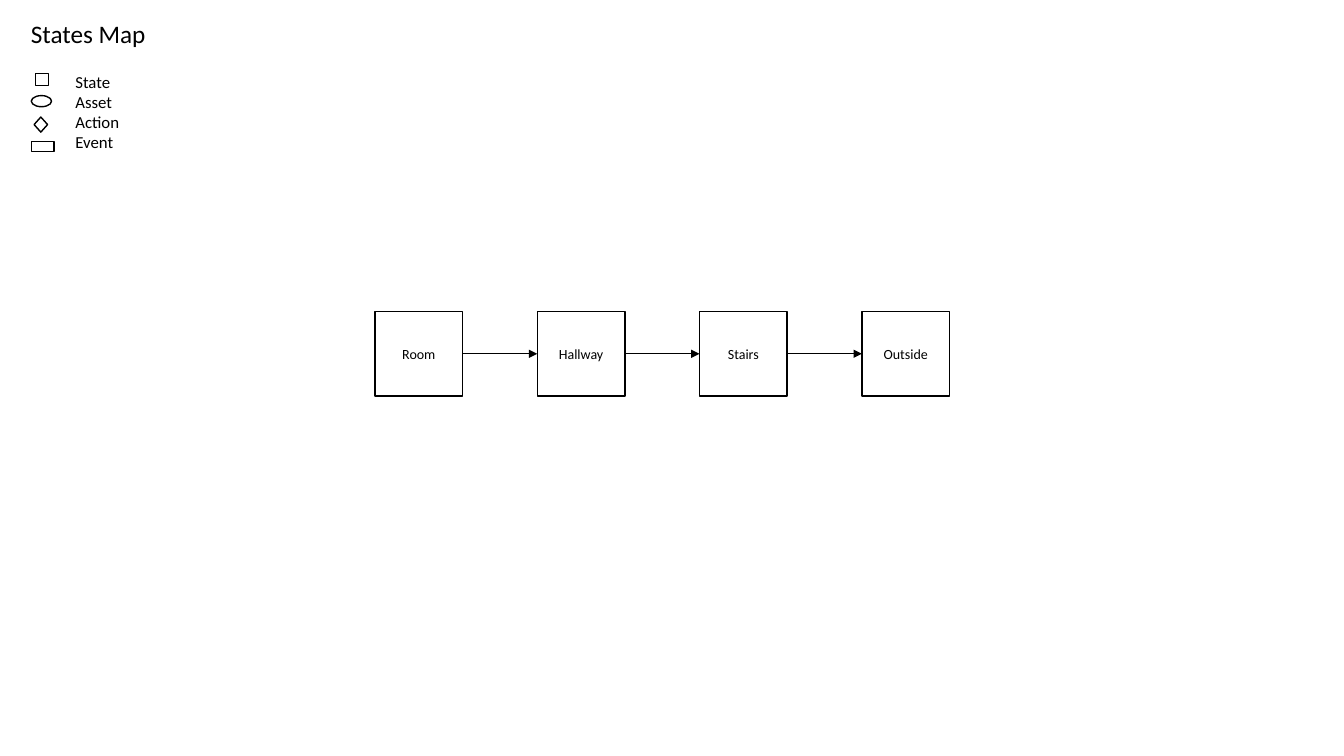
from lxml import etree
from pptx import Presentation
from pptx.dml.color import RGBColor
from pptx.enum.shapes import MSO_CONNECTOR, MSO_SHAPE
from pptx.enum.text import MSO_ANCHOR, MSO_AUTO_SIZE, PP_ALIGN
from pptx.oxml.ns import qn
from pptx.util import Cm, Pt

RECT = MSO_SHAPE.RECTANGLE
OVAL = MSO_SHAPE.OVAL
DIAMOND = MSO_SHAPE.FLOWCHART_DECISION
STRAIGHT = MSO_CONNECTOR.STRAIGHT
MIDDLE = MSO_ANCHOR.MIDDLE
CENTER = PP_ALIGN.CENTER
GROW = MSO_AUTO_SIZE.SHAPE_TO_FIT_TEXT
BLACK = RGBColor(0, 0, 0)
WHITE = RGBColor(255, 255, 255)
FONT = "Calibri"

deck = Presentation()
deck.slide_width = Cm(33.87)
deck.slide_height = Cm(19.05)
slide = deck.slides.add_slide(deck.slide_layouts[6])
shapes = slide.shapes


def add_node(kind, left, top, width, height):
    node = shapes.add_shape(kind, Cm(left), Cm(top), Cm(width), Cm(height))
    node.shadow.inherit = False
    node.fill.solid()
    node.fill.fore_color.rgb = WHITE
    node.line.color.rgb = BLACK
    node.line.width = Pt(1)
    return node


def add_lines(frame, lines, size):
    frame.word_wrap = False
    for i, line in enumerate(lines):
        para = frame.add_paragraph() if i else frame.paragraphs[0]
        run = para.add_run()
        run.text = line
        run.font.name = FONT
        run.font.size = Pt(size)
        run.font.color.rgb = BLACK


# Title and legend labels
for lines, size, left, top, width, height in [
    (["States Map"], 18, 0.53, 0.33, 3.43, 1.02),
    (["State", "Asset", "Action", "Event"], 12, 1.65, 1.68, 1.63, 2.31),
]:
    box = shapes.add_textbox(Cm(left), Cm(top), Cm(width), Cm(height))
    box.text_frame.auto_size = GROW
    add_lines(box.text_frame, lines, size)

# Legend symbols
for kind, left, top, width, height in [
    (RECT, 0.89, 1.85, 0.33, 0.31),
    (OVAL, 0.79, 2.41, 0.51, 0.28),
    (DIAMOND, 0.86, 2.95, 0.34, 0.38),
    (RECT, 0.79, 3.56, 0.57, 0.26),
]:
    add_node(kind, left, top, width, height)

# States
LEFT, TOP, PITCH = 9.45, 7.85, 4.09
states = []
for i, name in enumerate(["Room", "Hallway", "Stairs", "Outside"]):
    state = add_node(RECT, LEFT + i * PITCH, TOP, 2.21, 2.13)
    frame = state.text_frame
    frame.margin_left = frame.margin_right = 0
    frame.margin_top = frame.margin_bottom = 0
    frame.vertical_anchor = MIDDLE
    add_lines(frame, [name], 10)
    frame.paragraphs[0].alignment = CENTER
    states.append(state)

# Arrows from the right side of each state to the left side of the next
for start, end in zip(states, states[1:]):
    arrow = shapes.add_connector(STRAIGHT, 0, 0, 0, 0)
    arrow.begin_connect(start, 3)
    arrow.end_connect(end, 1)
    arrow.line.color.rgb = BLACK
    arrow.line.width = Pt(0.5)
    etree.SubElement(arrow.line._get_or_add_ln(), qn("a:tailEnd"), type="triangle")
    etree.SubElement(arrow._element.spPr, qn("a:effectLst"))

deck.save("out.pptx")
